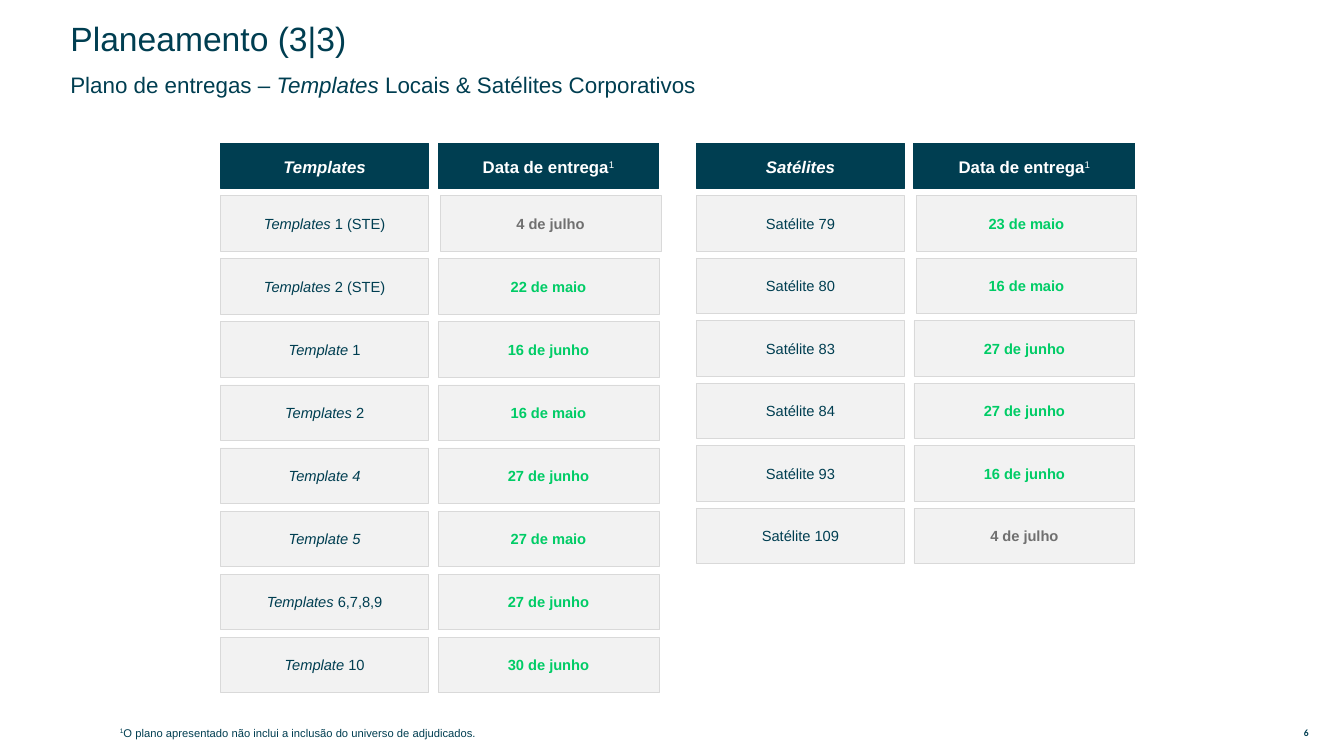
from pptx import Presentation
from pptx.dml.color import RGBColor
from pptx.enum.shapes import MSO_SHAPE
from pptx.enum.text import MSO_ANCHOR, PP_ALIGN
from pptx.util import Inches, Pt

NAVY = RGBColor(0x00, 0x3E, 0x51)
GREEN = RGBColor(0x00, 0xCC, 0x66)
GREY = RGBColor(0x70, 0x70, 0x70)
WHITE = RGBColor(0xFF, 0xFF, 0xFF)
PALE = RGBColor(0xF2, 0xF2, 0xF2)
BORDER = RGBColor(0xD9, 0xD9, 0xD9)

LABEL_WIDTH, DATE_WIDTH = 2.06, 2.19
DATE_OFFSET = 2.155
HEADER_HEIGHT, ROW_HEIGHT = 0.45, 0.55
FIRST_ROW = 0.52
PENDING = "4 de julho"

TEMPLATES = [
    ("Templates ", "1 (STE)", PENDING),
    ("Templates ", "2 (STE)", "22 de maio"),
    ("Template ", "1", "16 de junho"),
    ("Templates ", "2", "16 de maio"),
    ("Template 4", "", "27 de junho"),
    ("Template 5", "", "27 de maio"),
    ("Templates", " 6,7,8,9", "27 de junho"),
    ("Template ", "10", "30 de junho"),
]
SATELLITES = [
    ("", "Satélite 79", "23 de maio"),
    ("", "Satélite 80", "16 de maio"),
    ("", "Satélite 83", "27 de junho"),
    ("", "Satélite 84", "27 de junho"),
    ("", "Satélite 93", "16 de junho"),
    ("", "Satélite 109", PENDING),
]


def write(box, spans, size, color=NAVY, font="Arial", align=PP_ALIGN.LEFT,
          anchor=MSO_ANCHOR.MIDDLE, spacing=1.0, insets=(0.1, 0.05)):
    frame = box.text_frame
    frame.word_wrap = True
    frame.vertical_anchor = anchor
    frame.margin_left = frame.margin_right = Inches(insets[0])
    frame.margin_top = frame.margin_bottom = Inches(insets[1])
    para = frame.paragraphs[0]
    para.alignment = align
    para.line_spacing = spacing
    for text, style in spans:
        if not text:
            continue
        span = para.add_run()
        span.text = text
        span.font.name = font
        span.font.size = Pt(size)
        span.font.color.rgb = color
        span.font.bold = "bold" in style
        span.font.italic = "italic" in style
        if "super" in style:
            span.font._element.set("baseline", "30000")


def add_text(page, left, top, width, height, spans, size, **options):
    box = page.shapes.add_textbox(Inches(left), Inches(top), Inches(width), Inches(height))
    write(box, spans, size, **options)


def add_cell(page, left, top, width, height, spans, size, fill=PALE, line=BORDER,
             line_width=0.5, insets=(0.04, 0.04), **options):
    cell = page.shapes.add_shape(MSO_SHAPE.RECTANGLE, Inches(left), Inches(top),
                                 Inches(width), Inches(height))
    cell.shadow.inherit = False
    cell.fill.solid()
    cell.fill.fore_color.rgb = fill
    cell.line.color.rgb = line
    cell.line.width = Pt(line_width)
    write(cell, spans, size, align=PP_ALIGN.CENTER, insets=insets, **options)


def add_schedule(page, left, top, title, rows, pitch, shifted_rows):
    date_left = left + DATE_OFFSET
    headers = [
        (left, LABEL_WIDTH, [(title, "bold italic")]),
        (date_left, DATE_WIDTH, [("Data de entrega", "bold"), ("1", "super")]),
    ]
    for header_left, width, spans in headers:
        add_cell(page, header_left, top, width, HEADER_HEIGHT, spans, 12, fill=NAVY,
                 line=NAVY, line_width=0.75, color=WHITE, spacing=1.1)
    for index, (kind, number, date) in enumerate(rows):
        row_top = top + FIRST_ROW + index * pitch
        shift = 0.02 if index < shifted_rows else 0
        add_cell(page, left, row_top, LABEL_WIDTH, ROW_HEIGHT,
                 [(kind, "italic"), (number, "")], 10.5)
        add_cell(page, date_left + shift, row_top, DATE_WIDTH, ROW_HEIGHT,
                 [(date, "bold")], 10.5, color=GREY if date == PENDING else GREEN,
                 insets=(0.12, 0.04))


def add_heading(page, left, top):
    add_text(page, left, top, 7.95, 0.26, [("Planeamento (3|3)", "")], 24, spacing=0.9)
    add_text(page, left, top + 0.46, 7.66, 0.26,
             [("Plano de entregas – ", ""), ("Templates", "italic"),
              (" Locais & Satélites Corporativos", "")], 16, spacing=0.9)


def add_footer(page, left, top):
    add_text(page, left, top, 10.81, 0.24,
             [("1", "super"),
              ("O plano apresentado não inclui a inclusão do universo de adjudicados.", "")],
             8, anchor=MSO_ANCHOR.TOP, spacing=1.1)
    add_text(page, left + 11.64, top + 0.05, 0.45, 0.16, [("6", "bold")], 6.8,
             font="Calibri", align=PP_ALIGN.CENTER, insets=(0.06, 0.03))


def main():
    deck = Presentation()
    deck.slide_width, deck.slide_height = Inches(13.33), Inches(7.5)
    page = deck.slides.add_slide(deck.slide_layouts[6])
    add_heading(page, 0.6, 0.27)
    add_schedule(page, 2.19, 1.42, "Templates", TEMPLATES, pitch=0.626, shifted_rows=1)
    add_schedule(page, 6.91, 1.42, "Satélites", SATELLITES, pitch=0.62, shifted_rows=2)
    add_footer(page, 1.09, 7.14)
    deck.save("out.pptx")


if __name__ == "__main__":
    main()
